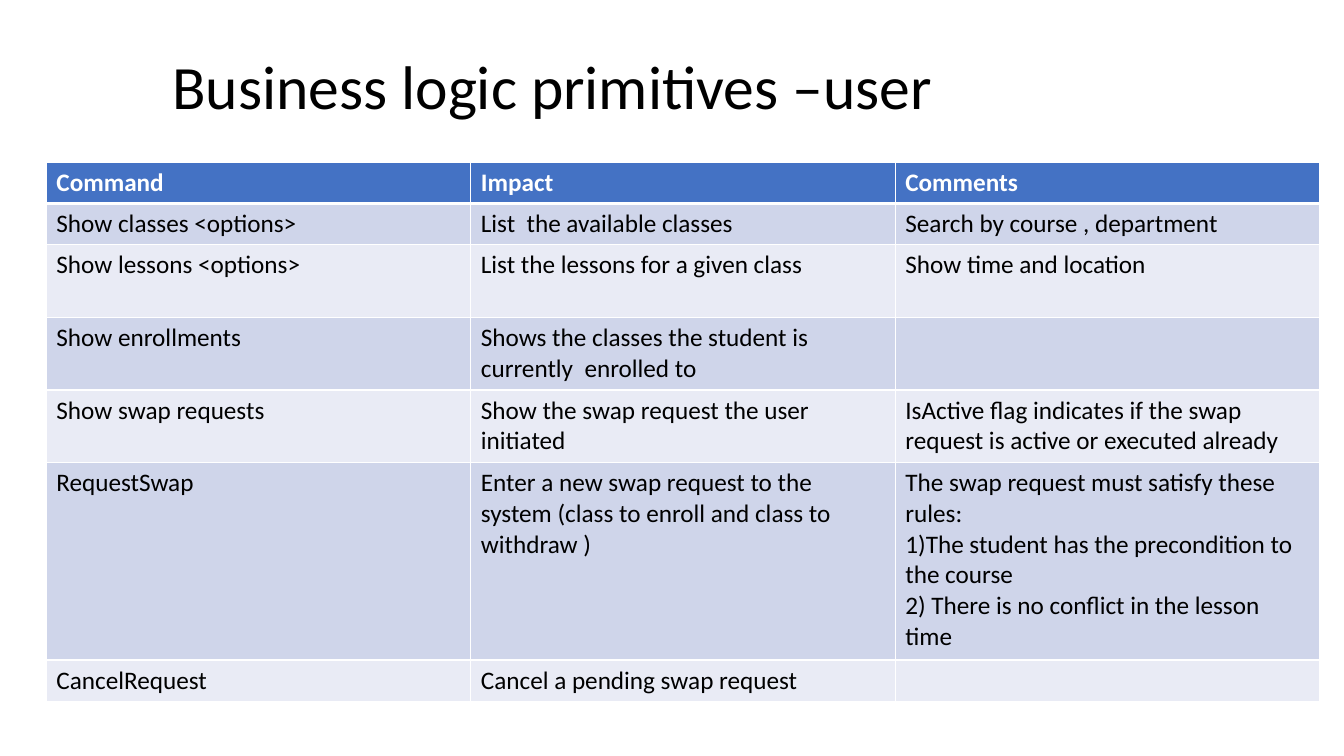
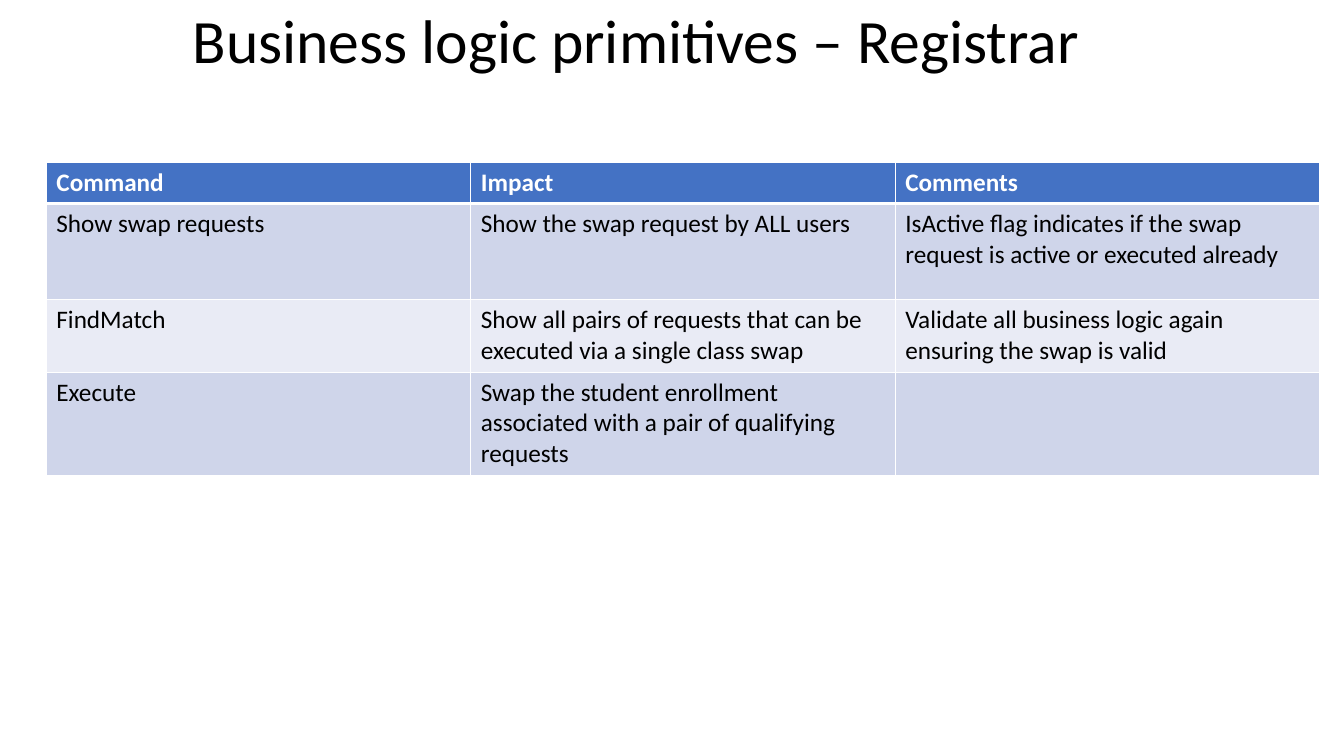
from lxml import etree
from pptx import Presentation
from pptx.dml.color import RGBColor
from pptx.enum.text import MSO_ANCHOR
from pptx.oxml.ns import qn
from pptx.util import Inches, Pt

MIDDLE = MSO_ANCHOR.MIDDLE
WIDE, HIGH = 13.33, 7.5
LEFT, TOP, COL = 0.46, 1.61, 4.21
PAD, LINE = 0.1, 0.31
FACE = "Calibri"
WHITE, BLACK, HEAD = "FFFFFF", "000000", "4472C4"
BANDS = ["E9EBF5", "CFD5EA"]
TITLE = {"name": FACE, "size": Pt(44), "bold": False}
BODY = {"name": FACE, "size": Pt(18), "bold": False}
LABEL = {**BODY, "bold": True}
FLAG = "IsActive flag indicates if the swap request is active or executed already"
RULES = """The swap request must satisfy these rules:
1)The student has the precondition to the course
2) There is no conflict in the lesson time"""

PAGES = [
    {
        "title": "Business logic primitives –user",
        "at": (0.92, 0.16),
        "rows": [
            (1, "Show classes <options>", "List  the available classes", "Search by course , department"),
            (2, "Show lessons <options>", "List the lessons for a given class", "Show time and location"),
            (2, "Show enrollments", "Shows the classes the student is currently  enrolled to", ""),
            (2, "Show swap requests", "Show the swap request the user initiated", FLAG),
            (6, "RequestSwap", "Enter a new swap request to the system (class to enroll and class to withdraw )", RULES),
            (1, "CancelRequest", "Cancel a pending swap request", ""),
        ],
    },
    {
        "title": "Business logic primitives – Registrar",
        "at": (1.12, -0.29),
        "rows": [
            (2.75, "Show swap requests", "Show the swap request by ALL users", FLAG),
            (2, "FindMatch", "Show all pairs of requests that can be executed via a single class swap",
             "Validate all business logic again  ensuring the swap is valid"),
            (3, "Execute", "Swap the student enrollment associated with a pair of qualifying requests", ""),
        ],
    },
]


def paint(part, tone):
    if hasattr(part, "solid"):
        part.solid()
        part = part.fore_color
    else:
        part = part.color
    part.rgb = RGBColor.from_string(tone)


def style(frame, form, tone):
    for para in frame.paragraphs:
        for key, value in form.items():
            setattr(para.font, key, value)
        paint(para.font, tone)


deck = Presentation()
deck.slide_width, deck.slide_height = Inches(WIDE), Inches(HIGH)

for page in PAGES:
    slide = deck.slides.add_slide(deck.slide_layouts[6])
    x, y = page["at"]
    box = slide.shapes.add_textbox(Inches(x), Inches(y), Inches(11.5), Inches(1.45))
    frame = box.text_frame
    frame.word_wrap = True
    frame.vertical_anchor = MIDDLE
    frame.margin_left = Inches(0.79)
    frame.text = page["title"]
    frame.paragraphs[0].line_spacing = 0.9
    style(frame, TITLE, BLACK)

    rows = [(1, "Command", "Impact", "Comments")] + page["rows"]
    tall = [PAD + LINE * row[0] for row in rows]
    grid = slide.shapes.add_table(
        len(rows), 3, Inches(LEFT), Inches(TOP), Inches(3 * COL), Inches(sum(tall))
    ).table
    for col in grid.columns:
        col.width = Inches(COL)
    for r, row in enumerate(rows):
        grid.rows[r].height = Inches(tall[r])
        for c, text in enumerate(row[1:]):
            cell = grid.cell(r, c)
            cell.text = text
            form, ink, tone = (BODY, BLACK, BANDS[r % 2]) if r else (LABEL, WHITE, HEAD)
            style(cell.text_frame, form, ink)
            paint(cell.fill, tone)
            edge = {"L": 1, "R": 1, "T": 3 if r == 1 else 1, "B": 1 if r else 3}
            props = cell._tc.get_or_add_tcPr()
            for n, (side, width) in enumerate(edge.items()):
                line = etree.Element(qn(f"a:ln{side}"), w=str(Pt(width)))
                fill = etree.SubElement(line, qn("a:solidFill"))
                etree.SubElement(fill, qn("a:srgbClr"), val=WHITE)
                props.insert(n, line)

deck.save("out.pptx")
